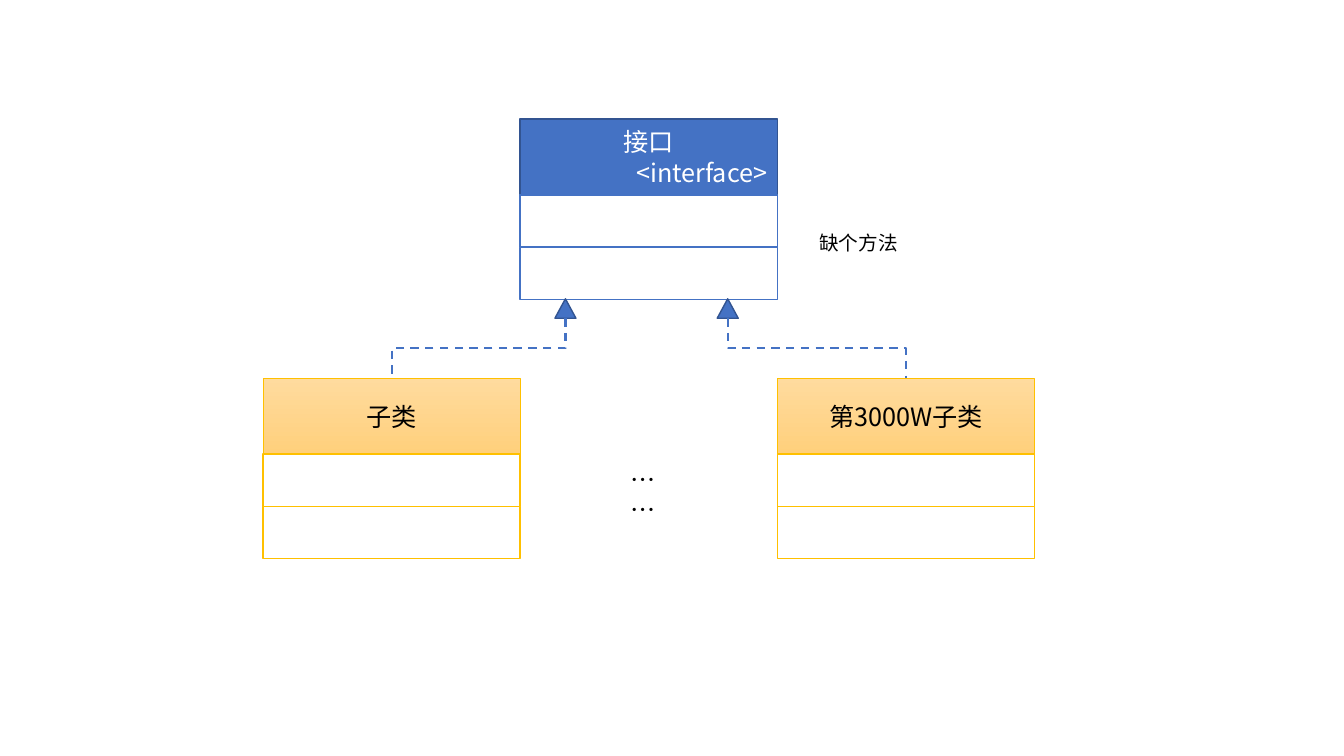
from lxml import etree
from pptx import Presentation
from pptx import util as u
from pptx.dml.color import RGBColor
from pptx.enum import dml, shapes, text
from pptx.oxml import ns

FONT = "Noto Sans CJK SC"
CENTER, RIGHT, LEFT = text.PP_ALIGN.CENTER, text.PP_ALIGN.RIGHT, text.PP_ALIGN.LEFT
BLUE, NAVY, GOLD, WHITE, BLACK = "4472C4", "325491", "FFC000", "FFFFFF", "000000"

# Lengths in centimetres
WIDTH, HEAD, ROW = 6.48, 1.91, 1.32
FIRST_LEFT = 6.63
INTERFACE_TOP, CHILD_TOP = 3, 9.53
ARROW_WIDTH, ARROW_HEIGHT = 0.53, 0.49

INTERFACE = {"fill": [BLUE], "head_line": (NAVY, 1), "row_line": (BLUE, 1), "ink": WHITE}
CHILD = {"fill": ["FFDB9E", "FFD07C"], "head_line": (GOLD, 0.5), "row_line": (GOLD, 1), "ink": BLACK}

# Column, top, title lines, style
CLASSES = [
    (1, INTERFACE_TOP, [("接口", CENTER), ("<interface>", RIGHT)], INTERFACE),
    (0, CHILD_TOP, [("子类", CENTER)], CHILD),
    (2, CHILD_TOP, [("第3000W子类", CENTER)], CHILD),
]
# Arrow tip, column of the subclass, rotation of the elbow
INHERITANCE = [(14.25, 0, 90), (18.34, 2, 270)]
# Text, left, top, width, height, size, wrap
NOTES = [
    ("缺个方法", 20.4, 5.69, 2.51, 0.86, 14, False),
    ("……", 15.65, 11.58, 1.42, 1.02, 18, True),
]


def color(value):
    return RGBColor.from_string(value)


def set_line(shape, line_color, width):
    shape.line.color.rgb = color(line_color)
    shape.line.width = u.Pt(width)


def column_left(column):
    return FIRST_LEFT + column * WIDTH


def write(frame, lines, size, ink):
    for number, (words, align) in enumerate(lines):
        para = frame.paragraphs[0] if number == 0 else frame.add_paragraph()
        para.alignment = align
        span = para.add_run()
        span.text = words
        for name, value in {"name": FONT, "size": u.Pt(size)}.items():
            setattr(span.font, name, value)
        span.font.color.rgb = color(ink)
        east_asian = etree.SubElement(span.font._element, ns.qn("a:ea"))
        east_asian.set("typeface", FONT)


def add_box(page, kind, place, fills, line):
    """Add a preset shape with one fill colour, or two for a downward gradient."""
    box = page.shapes.add_shape(kind, *map(u.Cm, place))
    box.shadow.inherit = False
    if len(fills) == 1:
        box.fill.solid()
        box.fill.fore_color.rgb = color(fills[0])
    else:
        box.fill.gradient()
        box.fill.gradient_angle = 270
        for stop, value in zip(box.fill.gradient_stops, fills):
            stop.color.rgb = color(value)
    set_line(box, *line)
    return box


def add_class(page, column, top, title, style):
    left = column_left(column)
    rectangle = shapes.MSO_SHAPE.RECTANGLE
    head = add_box(page, rectangle, (left, top, WIDTH, HEAD), style["fill"], style["head_line"])
    head.text_frame.vertical_anchor = text.MSO_ANCHOR.MIDDLE
    write(head.text_frame, title, 18, style["ink"])
    for row in range(2):
        place = (left, top + HEAD + row * ROW, WIDTH, ROW)
        add_box(page, rectangle, place, [WHITE], style["row_line"])


def add_inheritance(page, tip, column, rotation):
    """Draw a triangle under the interface and a dashed elbow down to a subclass."""
    tip_top = INTERFACE_TOP + HEAD + 2 * ROW - 0.02
    place = (tip - ARROW_WIDTH / 2, tip_top, ARROW_WIDTH, ARROW_HEIGHT)
    add_box(page, shapes.MSO_SHAPE.ISOSCELES_TRIANGLE, place, [BLUE], (NAVY, 1))

    # The elbow leaves vertically, so its unturned frame has the two sides swapped.
    start, end = tip_top + ARROW_HEIGHT, CHILD_TOP
    target = column_left(column) + WIDTH / 2
    middle_x, middle_y = (tip + target) / 2, (start + end) / 2
    half_run = abs(target - tip) / 2
    half_fall = (end - start) / 2 * (1 if rotation == 90 else -1)
    ends = (middle_x - half_fall, middle_y - half_run, middle_x + half_fall, middle_y + half_run)
    elbow = page.shapes.add_connector(shapes.MSO_CONNECTOR.ELBOW, *map(u.Cm, ends))
    elbow._element.spPr.find(ns.qn("a:xfrm")).set("rot", str(rotation * 60000))
    set_line(elbow, BLUE, 1.5)
    elbow.line.dash_style = dml.MSO_LINE.DASH
    etree.SubElement(elbow._element.spPr, ns.qn("a:effectLst"))


def add_note(page, words, left, top, width, height, size, wrap):
    frame = page.shapes.add_textbox(*map(u.Cm, (left, top, width, height))).text_frame
    settings = {"word_wrap": wrap, "auto_size": text.MSO_AUTO_SIZE.SHAPE_TO_FIT_TEXT}
    for name, value in settings.items():
        setattr(frame, name, value)
    write(frame, [(words, LEFT)], size, BLACK)


def main():
    deck = Presentation()
    deck.slide_width, deck.slide_height = u.Cm(33.87), u.Cm(19.05)
    page = deck.slides.add_slide(deck.slide_layouts[6])
    for entry in CLASSES:
        add_class(page, *entry)
    for entry in INHERITANCE:
        add_inheritance(page, *entry)
    for entry in NOTES:
        add_note(page, *entry)
    deck.save("out.pptx")


if __name__ == "__main__":
    main()
